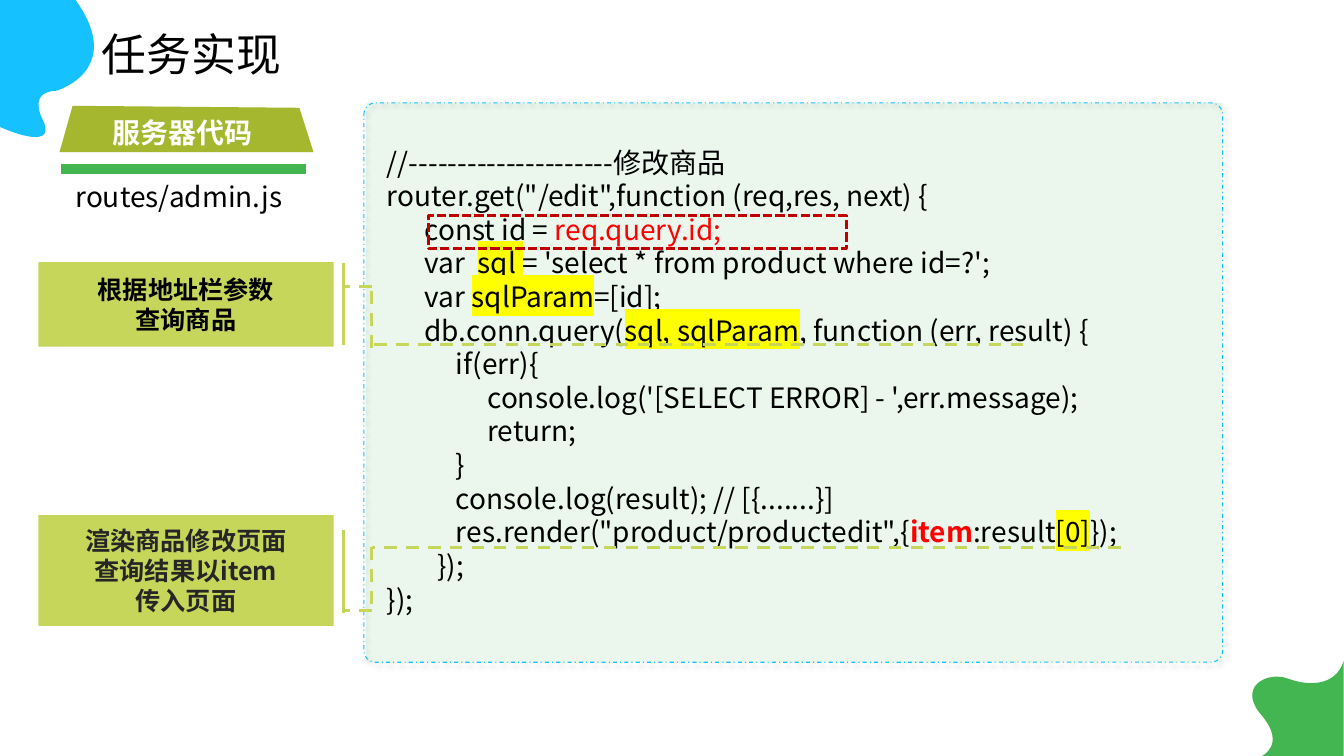
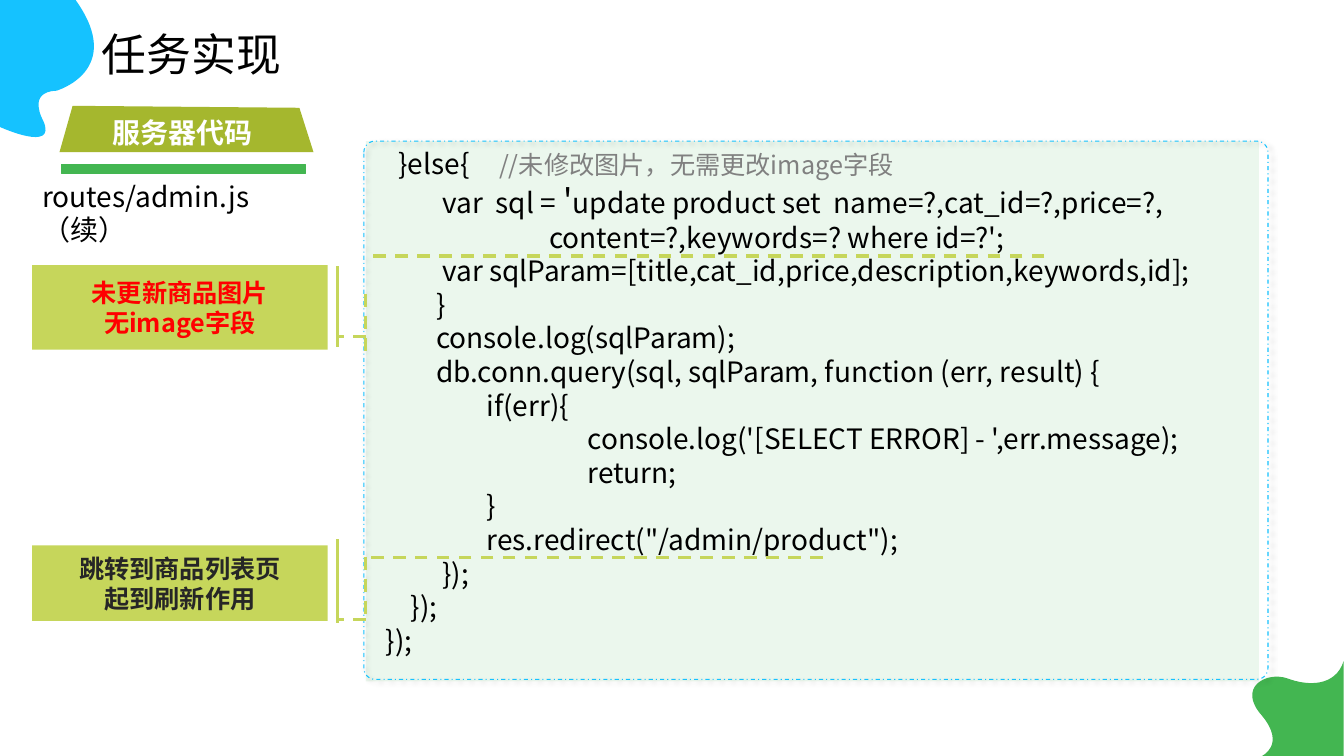
from dataclasses import dataclass

from lxml import etree
from pptx import Presentation
from pptx import util as u
from pptx.dml.color import RGBColor
from pptx.enum import dml, shapes, text
from pptx.oxml import ns

IN = u.Inches
SH = shapes.MSO_SHAPE
DASH = dml.MSO_LINE


@dataclass(frozen=True)
class Theme:
    font: str = "Noto Sans CJK SC"
    title: int = 32
    body: int = 20
    note: int = 18
    quote: int = 24
    black: str = "000000"
    dark: str = "262626"
    white: str = "FFFFFF"
    gray: str = "808080"
    red: str = "FF0000"
    crimson: str = "C00000"
    yellow: str = "FFFF00"
    sky: str = "15C2FF"
    green: str = "43B651"
    olive: str = "A5B72E"
    lime: str = "C6D65B"


T = Theme()

# Run styles used inside code listings
RED = dict(color=T.red)
RED_BOLD = dict(color=T.red, bold=True)
MARK = dict(mark=T.yellow)
COMMENT = dict(color=T.gray, size=T.note)
QUOTE = dict(size=T.quote)

# Corner blobs: a start point, then two controls and an end for each curve
SKY_BLOB = [
    (0, 1.26),
    (0, 1.26), (0.57, 1.52), (0.43, 1.2),
    (0.43, 1.2), (0.26, 0.91), (0.56, 0.9),
    (0.56, 0.9), (1.25, 0.7), (0.75, 0),
    (0, 0), (0, 0), (0, 0),
]
GREEN_BLOB = [
    (12.52, 7.5),
    (12.52, 7.5), (12.76, 7.39), (12.52, 7.1),
    (12.27, 6.82), (12.56, 6.66), (12.77, 6.73),
    (12.98, 6.81), (13.25, 6.81), (13.33, 6.56),
    (13.33, 7.5), (13.33, 7.5), (13.33, 7.5),
]
BANNER = [(0.72, 1.05), (2.97, 1.07), (3.11, 1.51), (0.59, 1.51)]

EDIT_CODE = [
    ["//---------------------修改商品"],
    ['router.get("/edit",function (req,res, next) {'],
    ["      const id =", (" req.query.id;", RED)],
    ["      var  ", ("sql ", MARK), "= 'select * from product where id=?';"],
    ["      var ", ("sqlParam", MARK), "=[id];"],
    ["      db.conn.query(", ("sql, sqlParam", MARK),
     ", function (err, result) {"],
    ["           if(err){"],
    ["                console.log('[SELECT ERROR] - ',err.message);"],
    ["                return;"],
    ["           }"],
    ["           console.log(result); // [{.......}]"],
    ['           res.render("product/productedit",{', ("item", RED_BOLD),
     ":result", ("[0]", MARK), "});"],
    ["        });"],
    ["});"],
]
UPDATE_CODE = [
    ["  }else{  ", ("   //未修改图片，无需更改image字段", COMMENT)],
    ["         var  sql =", (" '", QUOTE),
     "update product set  name=?,cat_id=?,price=?,"],
    ["                          content=?,keywords=? where id=?';"],
    ["         var sqlParam=[title,cat_id,price,description,keywords,id];"],
    ["        }"],
    ["        console.log(sqlParam);"],
    ["        db.conn.query(sql, sqlParam, function (err, result) {"],
    ["\tif(err){"],
    ["\t\tconsole.log('[SELECT ERROR] - ',err.message);"],
    ["\t\treturn;"],
    ["\t}"],
    ['\tres.redirect("/admin/product");'],
    ["         });"],
    ["    });"],
    ["});"],
]


def rgb(color):
    return RGBColor.from_string(color)


def sub(parent, tag, **attrs):
    return etree.SubElement(parent, ns.qn(tag), attrs)


def style_shape(sp, fill=None, line=None, width=1, dash=None):
    sp.shadow.inherit = False
    if fill:
        sp.fill.solid()
        sp.fill.fore_color.rgb = rgb(fill)
    else:
        sp.fill.background()
    if line:
        sp.line.color.rgb = rgb(line)
        sp.line.width = u.Pt(width)
        if dash:
            sp.line.dash_style = dash
    else:
        sp.line.fill.background()
    return sp


def add_box(s, kind, box, **style):
    sp = s.shapes.add_shape(kind, *map(IN, box))
    return style_shape(sp, **style)


def add_outline(s, points, fill):
    (x0, y0), *rest = points
    fb = s.shapes.build_freeform(IN(x0), IN(y0))
    fb.add_line_segments([(IN(x), IN(y)) for x, y in rest], close=True)
    return style_shape(fb.convert_to_shape(), fill=fill)


def add_blob(s, points, fill):
    """Add an outline and join its points, three by three, into curves."""
    sp = add_outline(s, points, fill)
    steps = list(sp._element.iter(ns.qn("a:lnTo")))
    for i in range(0, len(steps), 3):
        curve = etree.Element(ns.qn("a:cubicBezTo"))
        steps[i].addprevious(curve)
        for step in steps[i:i + 3]:
            curve.append(step[0])
            step.getparent().remove(step)


def add_line(s, start, end, dash=None):
    cn = s.shapes.add_connector(shapes.MSO_CONNECTOR.STRAIGHT,
                                *map(IN, (*start, *end)))
    cn.line.color.rgb = rgb(T.lime)
    cn.line.width = u.Pt(2.25)
    if dash:
        cn.line.dash_style = dash
    sub(cn._element.spPr, "a:effectLst")


def add_run(p, value, size=T.body, color=T.black, bold=False, mark=None):
    r = p.add_run()
    r.text = value
    f = r.font
    f.size, f.bold, f.name = u.Pt(size), bold, T.font
    f.color.rgb = rgb(color)
    rpr = r._r.get_or_add_rPr()
    ea = etree.Element(ns.qn("a:ea"), typeface=T.font)
    rpr.find(ns.qn("a:latin")).addnext(ea)
    if mark:
        highlight = etree.Element(ns.qn("a:highlight"))
        sub(highlight, "a:srgbClr", val=mark)
        rpr.find(ns.qn("a:solidFill")).addnext(highlight)


def fill_text(tf, lines, align=None, **base):
    """Write lines; each is a list of strings or (string, style) pairs."""
    for i, line in enumerate(lines):
        p = tf.add_paragraph() if i else tf.paragraphs[0]
        p.alignment = align
        p._p.get_or_add_pPr().set("defTabSz", str(IN(1)))
        for part in line:
            value, style = (part, {}) if isinstance(part, str) else part
            add_run(p, value, **{**base, **style})


def add_text(s, box, lines, wrap=True, grow=True, **base):
    tf = s.shapes.add_textbox(*map(IN, box)).text_frame
    tf.word_wrap = wrap
    if grow:
        tf.auto_size = text.MSO_AUTO_SIZE.SHAPE_TO_FIT_TEXT
    fill_text(tf, lines, **base)


def add_panel(s, tint, frame):
    """Add the pale code panel and its dashed, shadowed frame."""
    sp = add_box(s, SH.RECTANGLE, tint, fill=T.green)
    clr = sp._element.spPr.find(ns.qn("a:solidFill"))[0]
    sub(clr, "a:alpha", val="10000")

    sp = add_box(s, SH.ROUNDED_RECTANGLE, frame, line=T.sky, width=0.75,
                 dash=DASH.DASH_DOT)
    sp.adjustments[0] = 0.021
    effects = sp._element.spPr.find(ns.qn("a:effectLst"))
    shadow = sub(effects, "a:outerShdw", blurRad=str(u.Pt(4)),
                 dist=str(u.Pt(3)), dir="2700000", algn="tl",
                 rotWithShape="0")
    sub(sub(shadow, "a:srgbClr", val=T.black), "a:alpha", val="40000")


def add_note(s, box, lines, color, rule, drop, tick, bar):
    """Add a note and its bracket.

    rule is (right end, y) of the line under the code; drop and bar are the
    y ranges of the two uprights; tick is the y of the line joining them.
    """
    sp = add_box(s, SH.RECTANGLE, box, fill=T.lime)
    tf = sp.text_frame
    tf.word_wrap = True
    tf.vertical_anchor = text.MSO_ANCHOR.MIDDLE
    fill_text(tf, [[line] for line in lines], text.PP_ALIGN.CENTER,
              size=T.note, color=color, bold=True)
    bar_x = box[0] + 3.03
    drop_x = bar_x + 0.28
    add_line(s, rule, (drop_x, rule[1]), DASH.DASH)
    add_line(s, (drop_x, drop[0]), (drop_x, drop[1]), DASH.DASH)
    add_line(s, (drop_x, tick), (bar_x, tick), DASH.DASH)
    add_line(s, (bar_x, bar[0]), (bar_x, bar[1]))


def start_slide(prs):
    s = prs.slides.add_slide(prs.slide_layouts[6])
    add_blob(s, SKY_BLOB, T.sky)
    add_blob(s, GREEN_BLOB, T.green)
    return s


def add_heading(s, file_box, file_name):
    """Add the title, the section banner and the file name below it."""
    add_text(s, (0.91, 0.22, 1.98, 0.64), [["任务实现"]], wrap=False,
             size=T.title)
    add_text(s, file_box, [[file_name]])
    add_box(s, SH.RECTANGLE, (0.61, 1.63, 2.42, 0.09), fill=T.green,
            line=T.green)
    add_outline(s, BANNER, T.olive)
    add_text(s, (1.02, 1.1, 1.59, 0.44), [["服务器代码"]], wrap=False,
             color=T.white, bold=True)


def build_edit_slide(prs):
    s = start_slide(prs)
    add_panel(s, (3.63, 1.02, 8.5, 5.55), (3.61, 1.02, 8.52, 5.55))
    add_text(s, (3.74, 1.39, 8.38, 4.8), EDIT_CODE, grow=False)
    add_box(s, SH.RECTANGLE, (4.25, 2.14, 4.15, 0.33), line=T.crimson,
            width=2.25, dash=DASH.SQUARE_DOT)
    add_note(s, (0.38, 5.11, 2.93, 1.1),
             ["渲染商品修改页面", "查询结果以item", "传入页面"], T.dark,
             rule=(11.12, 5.43), drop=(5.43, 6.02), tick=6.06,
             bar=(6.08, 5.26))
    add_heading(s, (0.65, 1.73, 2.29, 0.44), "routes/admin.js")
    add_note(s, (0.38, 2.6, 2.93, 0.84), ["根据地址栏参数", "查询商品"],
             T.black, rule=(10.15, 3.42), drop=(3.45, 2.84), tick=2.84,
             bar=(2.61, 3.42))


def build_update_slide(prs):
    s = start_slide(prs)
    add_panel(s, (3.63, 1.4, 8.86, 5.36), (3.61, 1.4, 8.97, 5.34))
    add_text(s, (3.73, 1.4, 9.03, 4.38), UPDATE_CODE, grow=False)
    add_note(s, (0.32, 5.41, 2.93, 0.75), ["跳转到商品列表页", "起到刷新作用"],
             T.dark, rule=(8.16, 5.53), drop=(5.53, 6.11), tick=6.15,
             bar=(6.18, 5.35))
    add_heading(s, (0.32, 1.73, 2.94, 0.44), "routes/admin.js（续）")
    add_note(s, (0.32, 2.63, 2.93, 0.84), ["未更新商品图片", "无image字段"],
             T.red, rule=(10.36, 2.54), drop=(3.48, 2.87), tick=3.34,
             bar=(2.64, 3.44))


def main():
    prs = Presentation()
    prs.slide_width, prs.slide_height = IN(40) // 3, IN(7.5)
    build_edit_slide(prs)
    build_update_slide(prs)
    prs.save("out.pptx")


if __name__ == "__main__":
    main()
